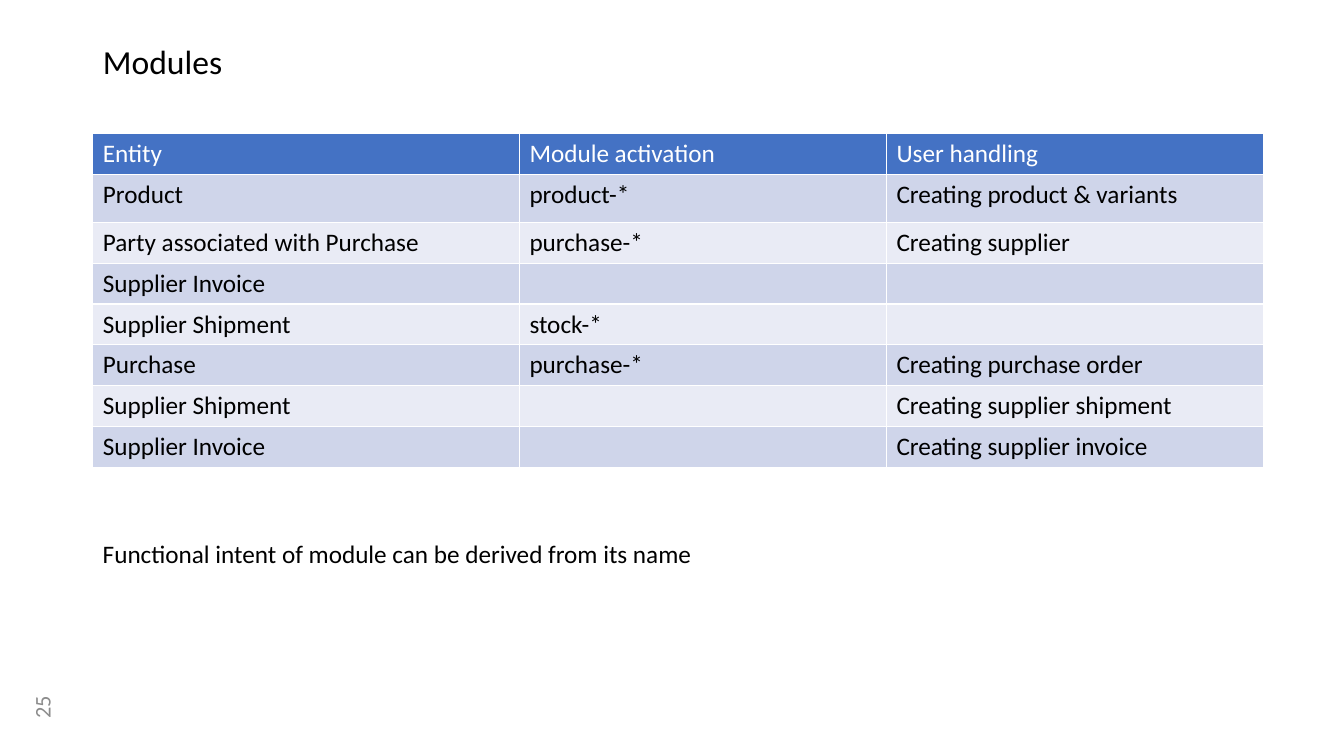
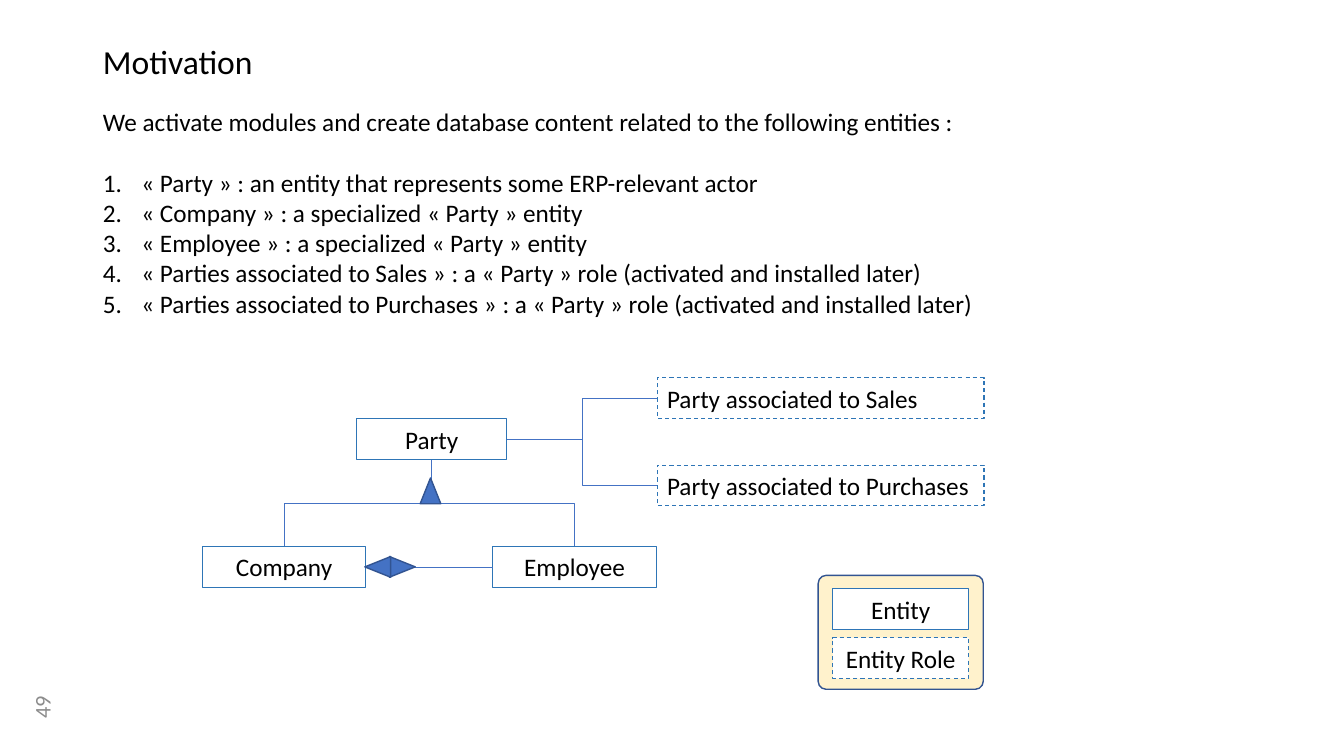
import dataclasses

import pptx
import pptx.dml.color
import pptx.enum.dml
import pptx.enum.shapes
import pptx.enum.text
import pptx.oxml.ns
import pptx.util
from lxml import etree

Cm = pptx.util.Cm
Pt = pptx.util.Pt
Shape = pptx.enum.shapes.MSO_SHAPE
Link = pptx.enum.shapes.MSO_CONNECTOR
Align = pptx.enum.text.PP_ALIGN
Anchor = pptx.enum.text.MSO_ANCHOR
qn = pptx.oxml.ns.qn


@dataclasses.dataclass(frozen=True)
class Theme:
    font: str = "Calibri"
    title: int = 24
    body: int = 18
    page: int = 16
    black: str = "000000"
    white: str = "FFFFFF"
    grey: str = "8C8C8C"
    blue: str = "4472C4"
    edge: str = "2E75B6"
    dark: str = "325491"
    cream: str = "FFF2CC"
    odd: str = "CFD5EA"
    even: str = "E9EBF5"


THEME = Theme()
LEFT = 2.34
ROW = 1.03

HEADS = ("Entity", "Module activation", "User handling")
ROWS = (
    ("Product", "product-*", "Creating product & variants"),
    ("Party associated with Purchase", "purchase-*", "Creating supplier"),
    ("Supplier Invoice", "", ""),
    ("Supplier Shipment", "stock-*", ""),
    ("Purchase", "purchase-*", "Creating purchase order"),
    ("Supplier Shipment", "", "Creating supplier shipment"),
    ("Supplier Invoice", "", "Creating supplier invoice"),
)
INTRO = "We activate modules and create database content related to the following entities :"
ITEMS = (
    "« Party » : an entity that represents some ERP-relevant actor",
    "« Company » : a specialized « Party » entity",
    "« Employee » : a specialized « Party » entity",
    "« Parties associated to Sales » : a « Party » role (activated and installed later)",
    "« Parties associated to Purchases » : a « Party » role (activated and installed later)",
)


def tint(code):
    return pptx.dml.color.RGBColor.from_string(code)


def write(par, text, size=THEME.body, color=THEME.black, align=Align.LEFT,
          space=1.0, after=0):
    par.alignment = align
    par.line_spacing = space
    par.space_before = Pt(0)
    par.space_after = Pt(after)
    run = par.add_run()
    run.text = text
    font = run.font
    font.name, font.size, font.bold = THEME.font, Pt(size), False
    font.color.rgb = tint(color)


def place(shape, left, top, width, height):
    shape.left, shape.top = Cm(left), Cm(top)
    shape.width, shape.height = Cm(width), Cm(height)


def frame(shape, anchor=Anchor.TOP):
    """Return the wrapped, fixed-size text frame of a shape."""
    area = shape.text_frame
    area.word_wrap = True
    area.auto_size = pptx.enum.text.MSO_AUTO_SIZE.NONE
    area.vertical_anchor = anchor
    return area


def label(slide, text, left, top, width, turn=0, **form):
    box = slide.shapes.add_textbox(Cm(left), Cm(top), Cm(width), Cm(ROW))
    box.rotation = turn
    write(frame(box, Anchor.MIDDLE).paragraphs[0], text, **form)


def start(deck, layout, title, page):
    """Add a slide with its title and its upright page number."""
    slide = deck.slides.add_slide(deck.slide_layouts[layout])
    head = slide.shapes.title
    place(head, LEFT, 1.02, 29.2, 1.3)
    write(frame(head).paragraphs[0], title, size=THEME.title, space=0.9)
    label(slide, page, 0.1, 17.3, 1.9, turn=270, size=THEME.page,
          color=THEME.grey, align=Align.CENTER)
    return slide


def mark(par, auto):
    """Number a paragraph, or clear its bullet."""
    props = par._p.get_or_add_pPr()
    dent = Cm(0.97) if auto else 0
    props.set("marL", str(dent))
    props.set("indent", str(-dent))
    if auto:
        etree.SubElement(props, qn("a:buFont"), typeface="+mj-lt")
        etree.SubElement(props, qn("a:buAutoNum"), type="arabicPeriod")
    else:
        etree.SubElement(props, qn("a:buNone"))


def steps(body, left, top, width, height):
    place(body, left, top, width, height)
    area = frame(body)
    for rank, text in enumerate((INTRO, *ITEMS)):
        par = area.add_paragraph() if rank else area.paragraphs[0]
        mark(par, rank > 0)
        write(par, text, after=0 if rank else 22)


def rule(cell):
    """Give a cell thin white borders."""
    props = cell._tc.get_or_add_tcPr()
    for rank, side in enumerate(("lnL", "lnR", "lnT", "lnB")):
        line = etree.Element(qn("a:" + side), w=str(Pt(1)))
        fill = etree.SubElement(line, qn("a:solidFill"))
        etree.SubElement(fill, qn("a:srgbClr"), val=THEME.white)
        props.insert(rank, line)


def grid(slide, left, top, widths):
    rows = (HEADS, *ROWS)
    table = slide.shapes.add_table(
        len(rows), len(widths), Cm(left), Cm(top),
        Cm(sum(widths)), Cm(ROW * len(rows))).table
    for col, width in zip(table.columns, widths):
        col.width = Cm(width)
    for rank, texts in enumerate(rows):
        table.rows[rank].height = Cm(1.2 if rank == 1 else ROW)
        fill = (THEME.odd if rank % 2 else THEME.even) if rank else THEME.blue
        for cell, text in zip(table.rows[rank].cells, texts):
            cell.fill.solid()
            cell.fill.fore_color.rgb = tint(fill)
            rule(cell)
            write(cell.text_frame.paragraphs[0], text,
                  color=THEME.black if rank else THEME.white)


def draw(slide, kind, left, top, width, height, fill=None,
         edge=THEME.dark, weight=1):
    shape = slide.shapes.add_shape(
        kind, Cm(left), Cm(top), Cm(width), Cm(height))
    shape.shadow.inherit = False
    if fill:
        shape.fill.solid()
        shape.fill.fore_color.rgb = tint(fill)
    else:
        shape.fill.background()
    shape.line.color.rgb = tint(edge)
    shape.line.width = Pt(weight)
    return shape


def node(slide, text, left, top, width, fill=None, role=False,
         align=Align.CENTER):
    """Draw an entity box, dashed when it is a role."""
    box = draw(slide, Shape.RECTANGLE, left, top, width, ROW, fill,
               THEME.edge, 0.75)
    if role:
        box.line.dash_style = pptx.enum.dml.MSO_LINE.DASH
    write(frame(box, Anchor.MIDDLE).paragraphs[0], text, align=align)
    return box


def join(slide, first, out, last, into, kind=Link.ELBOW):
    line = slide.shapes.add_connector(kind, 0, 0, 0, 0)
    line.begin_connect(first, out)
    line.end_connect(last, into)
    line.line.color.rgb = tint(THEME.blue)
    line.line.width = Pt(0.5)
    etree.SubElement(line._element.spPr, qn("a:effectLst"))
    return line


def drop(slide, first, last):
    """Join a box to one below by an elbow that leaves downward."""
    line = join(slide, first, 2, last, 0)
    right = line.end_x > line.begin_x
    mid_x = (line.begin_x + line.end_x) // 2
    mid_y = (line.begin_y + line.end_y) // 2
    wide, tall = line.height, line.width
    line.left, line.top = mid_x - wide // 2, mid_y - tall // 2
    line.width, line.height = wide, tall
    form = line._element.spPr.find(qn("a:xfrm"))
    form.set("rot", str((270 if right else 90) * 60000))
    form.set("flipH", "1" if right else "0")


def arrow(slide, mid_x, mid_y, turn=0):
    wide, tall = 0.52, 0.65
    head = draw(slide, Shape.ISOSCELES_TRIANGLE, mid_x - wide / 2,
                mid_y - tall / 2, wide, tall, THEME.blue)
    head.rotation = turn


def model(slide, left, top):
    """Draw the entity tree with its top left corner at the given point."""
    low = top + 4.25
    party = node(slide, "Party", left + 3.89, top + 1.03, 3.78)
    staff = node(slide, "Employee", left + 7.32, low, 4.12)
    firm = node(slide, "Company", left, low, 4.12)
    for rank, name in enumerate(("Sales", "Purchases")):
        role = node(slide, "Party associated to " + name, left + 11.46,
                    top + 2.2 * rank, 8.24, role=True, align=Align.LEFT)
        join(slide, party, 3, role, 1)
    for child in (firm, staff):
        drop(slide, party, child)
    arrow(slide, left + 5.75, top + 2.85)
    join(slide, firm, 3, staff, 1, Link.STRAIGHT)
    arrow(slide, left + 5.04, low + ROW / 2, 90)
    arrow(slide, left + 4.42, low + ROW / 2, 270)


def legend(slide, left, top, width, height):
    card = draw(slide, Shape.ROUNDED_RECTANGLE, left, top, width, height,
                THEME.cream)
    card.adjustments[0] = 0.07
    for rank, text in enumerate(("Entity", "Entity Role")):
        node(slide, text, left + 0.37, top + 0.33 + 1.24 * rank,
             width - 0.74, THEME.white, role=rank == 1)


def main():
    deck = pptx.Presentation()
    deck.slide_width, deck.slide_height = Cm(33.87), Cm(19.05)

    slide = start(deck, 5, "Modules", "25")
    grid(slide, LEFT, 3.37, (10.75, 9.25, 9.5))
    label(slide, "Functional intent of module can be derived from its name",
          LEFT, 13.44, 15.6)

    slide = start(deck, 1, "Motivation", "49")
    steps(slide.placeholders[1], LEFT, 2.54, 29.8, 5.64)
    model(slide, 5.1, 9.52)
    legend(slide, 20.62, 14.5, 4.16, 2.87)

    deck.save("out.pptx")


if __name__ == "__main__":
    main()
